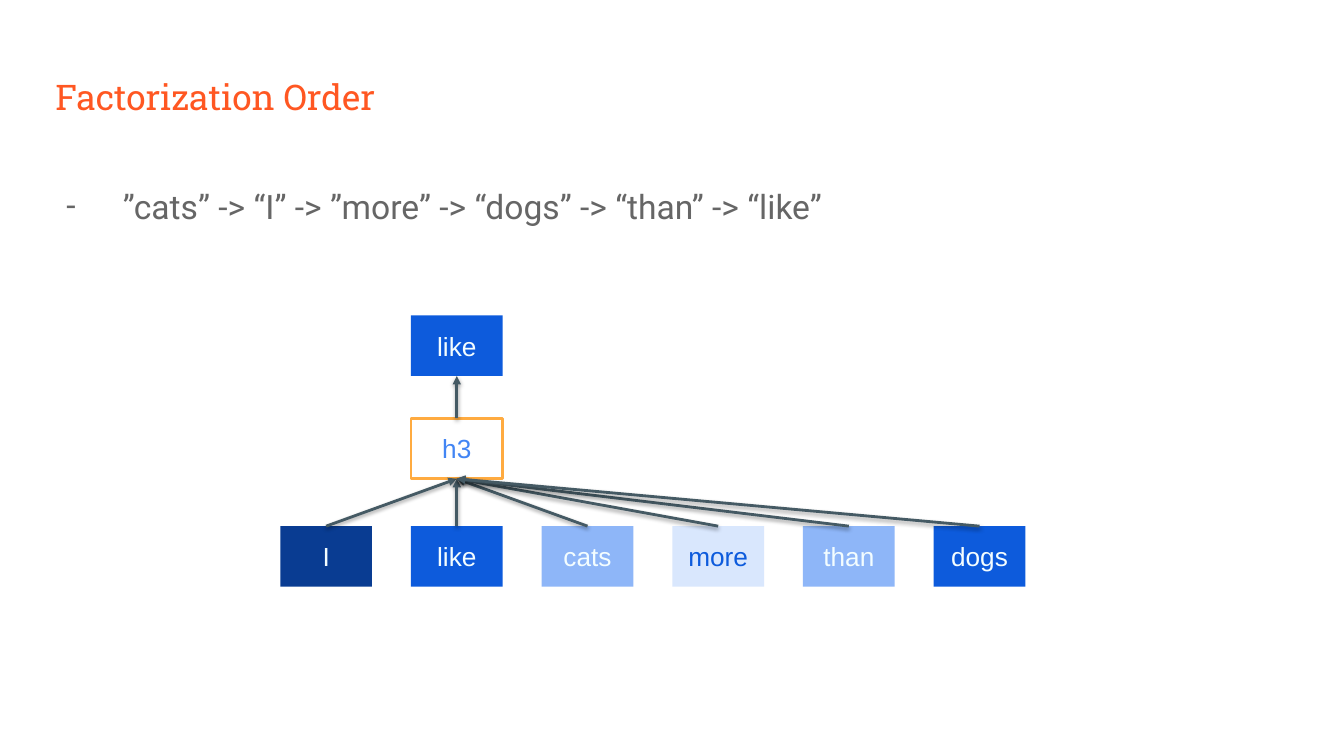
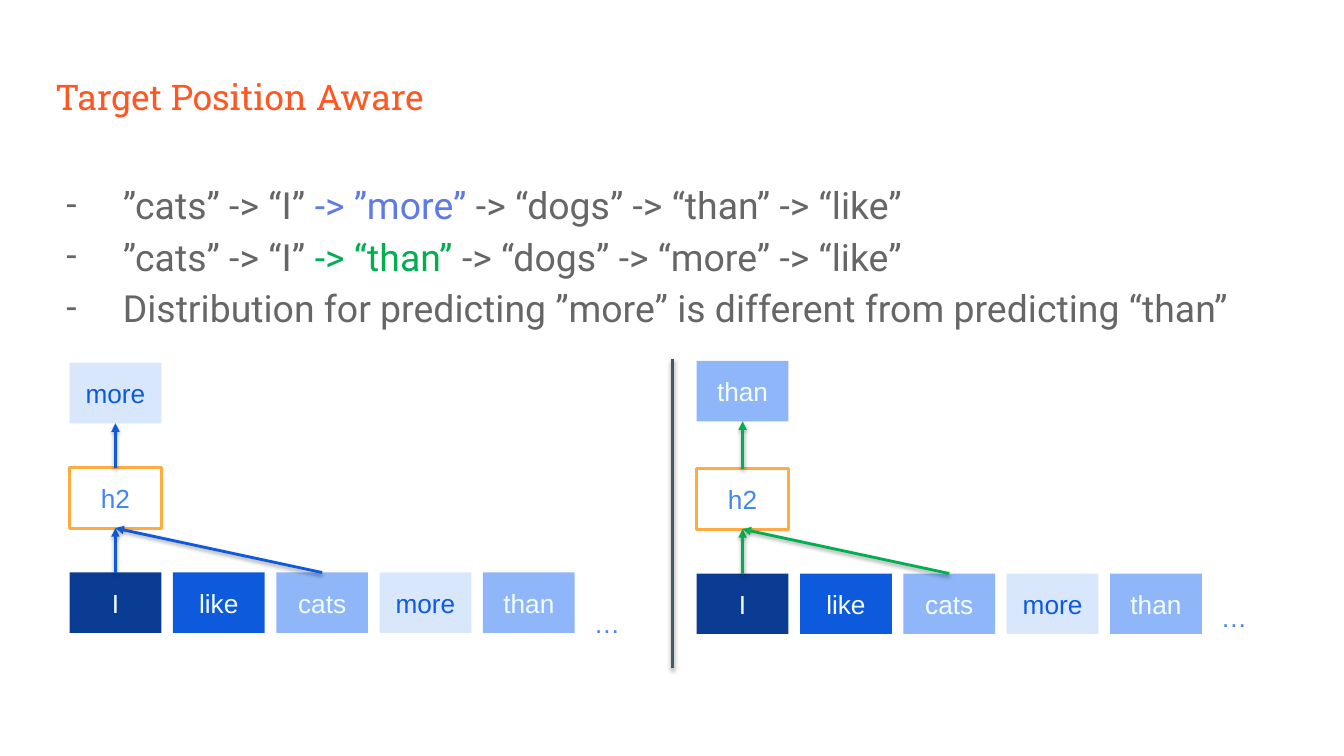
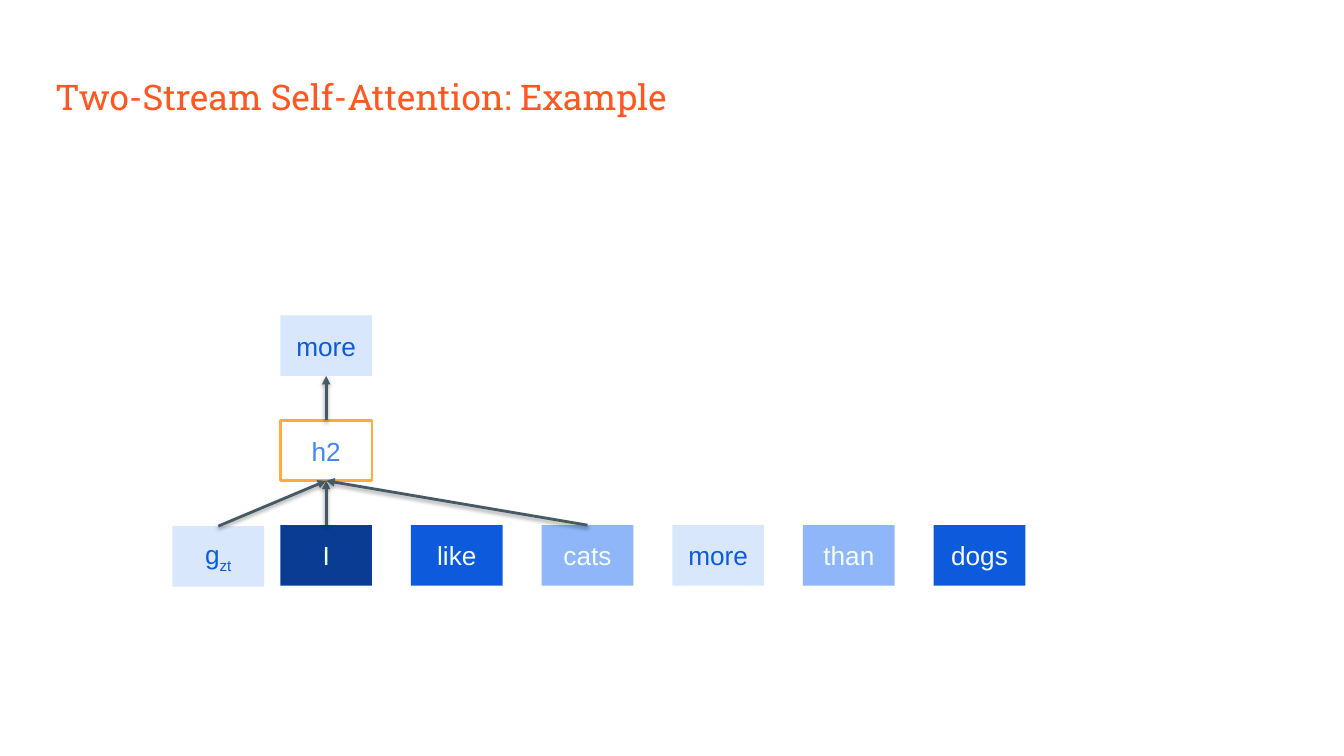
from lxml import etree
from pptx import Presentation
from pptx.dml.color import RGBColor
from pptx.enum import shapes, text
from pptx.oxml import ns
from pptx.util import Inches, Pt

COLORS = {
    "title": "FF5722", "body": "666666", "periwinkle": "5E7AE4", "green": "00B050",
    "navy": "093C92", "blue": "0D5BDC", "sky": "8EB6F8", "pale": "D9E7FD",
    "ice": "F3FDFF", "white": "FFFFFF", "orange": "FFAB40", "hidden": "4285F4",
    "slate": "455A64", "shadow": "000000",
}
WORD_FILLS = {"I": "navy", "like": "blue", "cats": "sky", "more": "pale",
              "than": "sky", "dogs": "blue", "g": "pale"}
WORDS = ["I", "like", "cats", "more", "than", "dogs"]
BOX_WIDTH, BOX_HEIGHT = 0.91, 0.6
ARROW = {"type": "triangle"}
SHADOW = {"blurRad": str(Pt(3)), "dist": str(Pt(1.6)), "dir": "5400000",
          "algn": "bl", "rotWithShape": "0"}


def write(box, paragraphs, size=18.7, font="Arial", color="body", margin=0, wrap=True,
          align=text.PP_ALIGN.LEFT, anchor=text.MSO_ANCHOR.TOP, spacing=None, bullet=None):
    frame = box.text_frame
    frame.word_wrap = wrap
    frame.vertical_anchor = anchor
    frame.margin_left = frame.margin_right = Inches(margin)
    frame.margin_top = frame.margin_bottom = Inches(margin)
    for number, runs in enumerate(paragraphs):
        para = frame.add_paragraph() if number else frame.paragraphs[0]
        para.alignment = align
        para.line_spacing = spacing
        if bullet:
            properties = para._p.get_or_add_pPr()
            properties.set("marL", str(Inches(0.67)))
            properties.set("indent", str(Inches(-0.56)))
            bullet_color = etree.SubElement(properties, ns.qn("a:buClr"))
            etree.SubElement(bullet_color, ns.qn("a:srgbClr"), val=COLORS[color])
            etree.SubElement(properties, ns.qn("a:buFont"), typeface=font)
            etree.SubElement(properties, ns.qn("a:buChar"), char=bullet)
        for words, changes in runs:
            span = para.add_run()
            span.text = words
            span.font.name = font
            span.font.size = Pt(size)
            span.font.color.rgb = RGBColor.from_string(COLORS[changes.get("color", color)])
            if "baseline" in changes:
                span._r.get_or_add_rPr().set("baseline", changes["baseline"])


def draw_line(page, color, begin=(0, 0), end=(0, 0), arrow=False):
    line = page.shapes.add_connector(
        shapes.MSO_CONNECTOR.STRAIGHT, *[Inches(value) for value in begin + end])
    line.line.color.rgb = RGBColor.from_string(COLORS[color])
    line.line.width = Pt(2)
    if arrow:
        etree.SubElement(line.line._get_or_add_ln(), ns.qn("a:tailEnd"), ARROW)
    effects = etree.SubElement(line._element.spPr, ns.qn("a:effectLst"))
    shadow = etree.SubElement(effects, ns.qn("a:outerShdw"), SHADOW)
    shadow_color = etree.SubElement(shadow, ns.qn("a:srgbClr"), val=COLORS["shadow"])
    etree.SubElement(shadow_color, ns.qn("a:alpha"), val="38000")
    return line


SLIDES = [
    {
        "title": "Factorization Order",
        "size": 24, "top": 1.68,
        "bullets": [[("”cats” -> “I” -> ”more” -> “dogs” -> “than” -> “like”", {})]],
        "diagrams": [
            {"words": WORDS, "left": 2.78, "right": 9.26, "tops": (3.13, 4.15, 5.22),
             "column": 1, "target": "like", "hidden": "h3", "sources": WORDS,
             "color": "slate"},
        ],
    },
    {
        "title": "Target Position Aware",
        "size": 26.7, "top": 1.64,
        "bullets": [
            [("”cats” -> “I” ", {}), ("-> ”more”", {"color": "periwinkle"}),
             (" -> “dogs” -> “than” -> “like”", {})],
            [("”cats” -> “I” ", {}), ("-> “than” ", {"color": "green"}),
             ("-> “dogs” -> “more” -> “like”", {})],
            [("Distribution for predicting ”more” is different from predicting “than”", {})],
        ],
        "diagrams": [
            {"words": WORDS[:5], "left": 0.69, "right": 4.79, "tops": (3.6, 4.64, 5.68),
             "column": 0, "target": "more", "hidden": "h2", "sources": ["I", "cats"],
             "color": "blue", "ellipsis": (5.89, 6.02)},
            {"words": WORDS[:5], "left": 6.91, "right": 11.01, "tops": (3.58, 4.65, 5.69),
             "column": 0, "target": "than", "hidden": "h2", "sources": ["I", "cats"],
             "color": "green", "ellipsis": (12.11, 5.97)},
        ],
        "divider": ((6.67, 6.63), (6.67, 3.56)),
    },
    {
        "title": "Two-Stream Self-Attention: Example",
        "diagrams": [
            {"words": WORDS, "left": 2.78, "right": 9.26, "tops": (3.13, 4.17, 5.21),
             "column": 0, "target": "more", "hidden": "h2", "sources": ["g", "I", "cats"],
             "color": "slate", "query": (1.71, 5.22)},
        ],
    },
]

deck = Presentation()
deck.slide_width, deck.slide_height = Inches(13.33), Inches(7.5)

for content in SLIDES:
    page = deck.slides.add_slide(deck.slide_layouts[6])
    title = page.shapes.add_textbox(Inches(0.45), Inches(0.65), Inches(12.42), Inches(0.84))
    write(title, [[(content["title"], {})]], size=25.2, font="Roboto Slab",
          color="title", margin=0.1)
    if "bullets" in content:
        body = page.shapes.add_textbox(
            Inches(0.45), Inches(content["top"]), Inches(12.42), Inches(4.98))
        write(body, content["bullets"], size=content["size"], font="Roboto",
              margin=0.1, spacing=1.15, bullet="-")
    if "divider" in content:
        draw_line(page, "slate", *content["divider"])

    for diagram in content["diagrams"]:
        target_top, hidden_top, row_top = diagram["tops"]
        pitch = (diagram["right"] - diagram["left"]) / (len(diagram["words"]) - 1)
        column_left = diagram["left"] + diagram["column"] * pitch
        cells = [("target", diagram["target"], column_left, target_top),
                 ("hidden", diagram["hidden"], column_left, hidden_top)]
        for index, word in enumerate(diagram["words"]):
            cells.append((word, word, diagram["left"] + index * pitch, row_top))
        if "query" in diagram:
            cells.append(("g", "g", *diagram["query"]))

        boxes = {}
        for key, label, left, top in cells:
            box = page.shapes.add_shape(
                shapes.MSO_SHAPE.RECTANGLE, Inches(left), Inches(top),
                Inches(BOX_WIDTH), Inches(BOX_HEIGHT))
            box.shadow.inherit = False
            box.fill.solid()
            fill = WORD_FILLS.get(label, "white")
            box.fill.fore_color.rgb = RGBColor.from_string(COLORS[fill])
            if key == "hidden":
                box.line.color.rgb = RGBColor.from_string(COLORS["orange"])
                box.line.width = Pt(2)
            else:
                box.line.fill.background()
            runs = [(label, {})]
            if key == "g":
                runs.append(("zt", {"baseline": "-25000"}))
            write(box, [runs], color={"white": "hidden", "pale": "blue"}.get(fill, "ice"),
                  align=text.PP_ALIGN.CENTER, anchor=text.MSO_ANCHOR.MIDDLE)
            boxes[key] = box

        links = [(source, "hidden") for source in diagram["sources"]]
        for start, finish in links + [("hidden", "target")]:
            arrow = draw_line(page, diagram["color"], arrow=True)
            arrow.begin_connect(boxes[start], 0)
            arrow.end_connect(boxes[finish], 2)

        if "ellipsis" in diagram:
            left, top = diagram["ellipsis"]
            dots = page.shapes.add_textbox(
                Inches(left), Inches(top), Inches(0.26), Inches(0.31))
            write(dots, [[("…", {})]], color="hidden", wrap=False)

deck.save("out.pptx")
